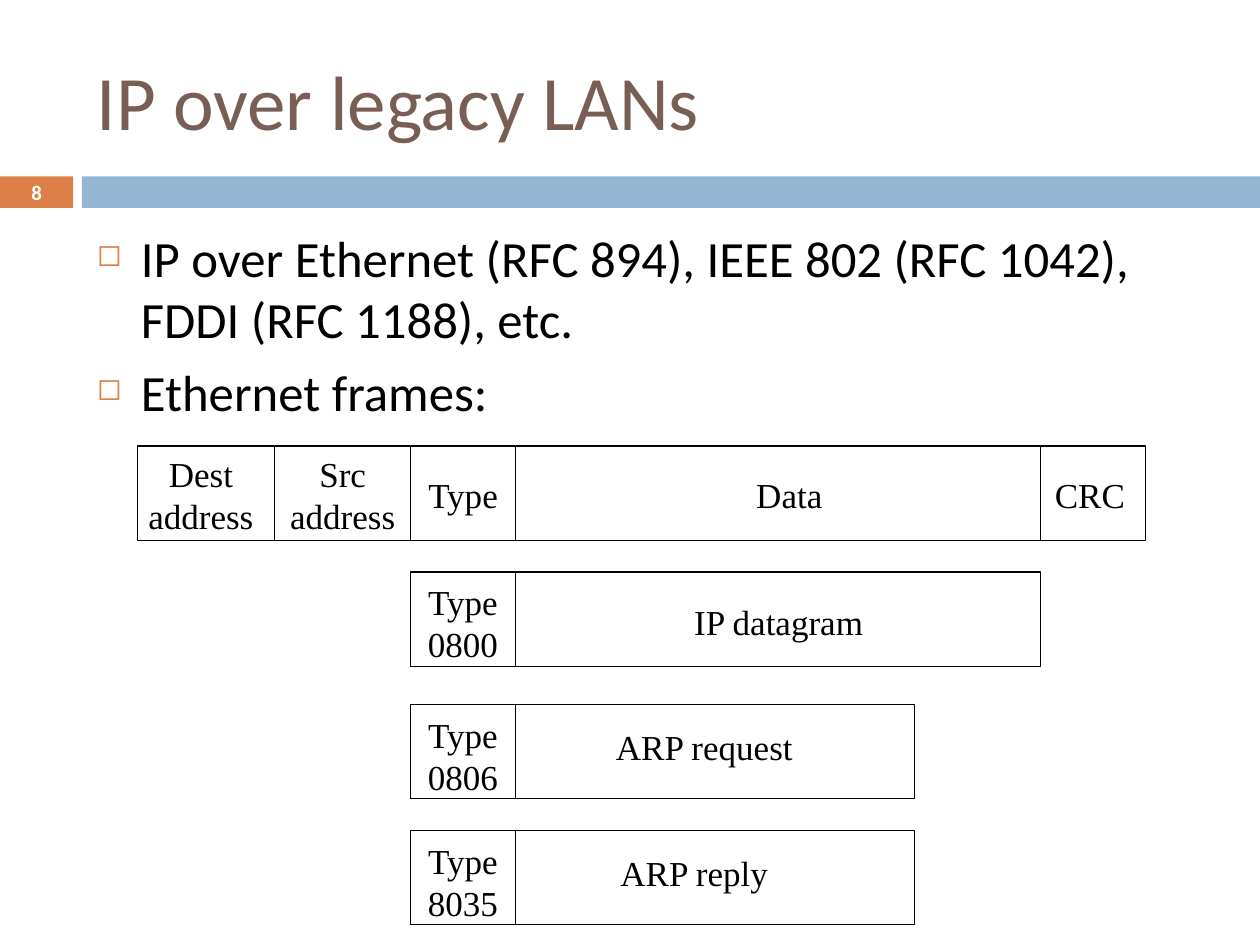
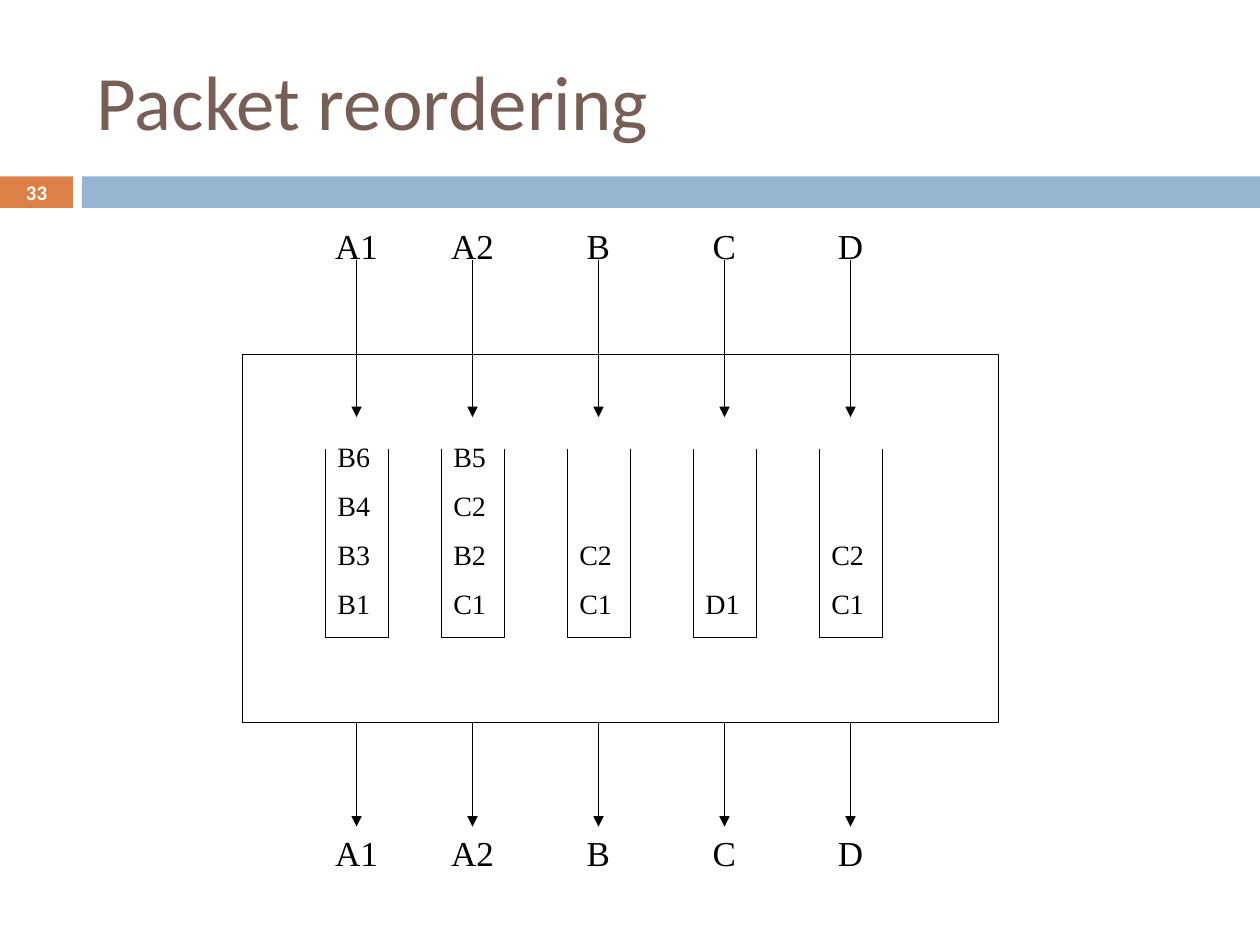
from pptx import Presentation
from pptx.dml.color import RGBColor
from pptx.enum.shapes import MSO_CONNECTOR, MSO_SHAPE
from pptx.enum.text import MSO_ANCHOR, PP_ALIGN
from pptx.oxml.ns import qn
from pptx.util import Inches, Pt
from lxml.etree import SubElement

ORANGE, BLUE, BROWN = "DD8047", "94B6D2", "775F55"
BLACK, WHITE = "000000", "FFFFFF"
SANS, SERIF = "Calibri", "Times New Roman"


def rgb(color):
    return RGBColor.from_string(color)


def add_rect(s, x, y, w, h, fill=None, line_width=None):
    sp = s.shapes.add_shape(MSO_SHAPE.RECTANGLE, Inches(x), Inches(y), Inches(w), Inches(h))
    sp.shadow.inherit = False
    if fill:
        sp.fill.solid()
        sp.fill.fore_color.rgb = rgb(fill)
    else:
        sp.fill.background()
    if line_width:
        sp.line.color.rgb = rgb(BLACK)
        sp.line.width = Pt(line_width)
    else:
        sp.line.fill.background()
    return sp


def add_line(s, x1, y1, x2, y2, width, arrow=False):
    line = s.shapes.add_connector(MSO_CONNECTOR.STRAIGHT, Inches(x1), Inches(y1),
                                  Inches(x2), Inches(y2))
    line.line.color.rgb = rgb(BLACK)
    line.line.width = Pt(width)
    if arrow:
        SubElement(line.line._get_or_add_ln(), qn("a:tailEnd"), type="triangle")
    SubElement(line._element.spPr, qn("a:effectLst"))
    return line


def add_text(s, x, y, w, h, lines, size, font=SERIF, color=BLACK, bold=False,
             align=PP_ALIGN.LEFT, anchor=MSO_ANCHOR.TOP, space_before=0):
    tf = s.shapes.add_textbox(Inches(x), Inches(y), Inches(w), Inches(h)).text_frame
    tf.word_wrap = True
    tf.vertical_anchor = anchor
    for i, text in enumerate(lines):
        p = tf.paragraphs[0] if i == 0 else tf.add_paragraph()
        p.alignment = align
        p.space_before = Pt(space_before)
        r = p.add_run()
        r.text = text
        r.font.size, r.font.name, r.font.bold = Pt(size), font, bold
        r.font.color.rgb = rgb(color)
    return tf


def add_bullet(p):
    pPr = p._p.get_or_add_pPr()
    pPr.set("marL", str(Inches(0.35)))
    pPr.set("indent", str(-Inches(0.35)))
    SubElement(SubElement(pPr, qn("a:buClr")), qn("a:srgbClr"), val=ORANGE)
    SubElement(pPr, qn("a:buSzPct"), val="60000")
    SubElement(pPr, qn("a:buChar"), char="◻")


def add_base_slide(prs, title, number):
    """Title, coloured band and slide number shared by all slides."""
    s = prs.slides.add_slide(prs.slide_layouts[6])
    add_rect(s, 0, 1.4, 0.58, 0.25, fill=ORANGE)
    add_rect(s, 0.65, 1.4, 9.35, 0.25, fill=BLUE)
    add_text(s, 0, 1.39, 0.58, 0.27, [number], 11.9, SANS, WHITE, bold=True,
             align=PP_ALIGN.CENTER, anchor=MSO_ANCHOR.MIDDLE)
    add_text(s, 0.67, 0.25, 8.92, 1.08, [title], 44, SANS, BROWN, anchor=MSO_ANCHOR.MIDDLE)
    return s


def add_frame(s, x, y, w, dividers, fields):
    """Frame of fields; dividers and (text, left, top, width, height) are relative to x, y."""
    h = 0.75
    add_rect(s, x, y, w, h, line_width=0.75)
    for dx in dividers:
        add_line(s, x + dx, y, x + dx, y + h, 0.75)
    for text, dx, dy, fw, fh in fields:
        add_text(s, x + dx, y + dy, fw, fh, [text], 20, align=PP_ALIGN.CENTER)


def add_queue(s, x, y, packets):
    """Open-topped queue with its packets resting at the bottom."""
    w, h = 0.5, 1.5
    for x1, y1, x2, y2 in [(0, 0, 0, h), (0, h, w, h), (w, 0, w, h)]:
        add_line(s, x + x1, y + y1, x + x2, y + y2, 0.25)
    add_text(s, x, y - 0.08, 0.58, 1.49, packets, 16,
             anchor=MSO_ANCHOR.BOTTOM, space_before=8.75)


def build_lan_slide(prs):
    s = add_base_slide(prs, "IP over legacy LANs", "8")
    tf = add_text(s, 0.67, 1.75, 8.92, 4.92,
                  ["IP over Ethernet (RFC 894), IEEE 802 (RFC 1042), FDDI (RFC 1188), etc.",
                   "Ethernet frames:"], 29, SANS, space_before=7)
    for p in tf.paragraphs:
        add_bullet(p)

    # General Ethernet frame
    one, two = 0.43, 0.77  # heights of one and two text lines
    add_frame(s, 1.09, 3.54, 8, [1.09, 2.17, 3, 7.17],
              [("Dest address", -0.08, 0, 1.17, two),
               ("Src address", 1.09, 0, 1.08, two),
               ("Type", 2, 0.17, 1.17, one),
               ("Data", 4.59, 0.17, 1.17, one),
               ("CRC", 7.16, 0.17, 0.8, one)])

    # Payload by type: top, width, type, payload, payload left and top
    for y, w, code, payload, dx, dy in [
            (4.54, 5, "0800", "IP datagram", 1.92, 0.18),
            (5.59, 4, "0806", "ARP request", 1.33, 0.12),
            (6.59, 4, "8035", "ARP reply", 1.25, 0.12)]:
        add_frame(s, 3.26, y, w, [0.83],
                  [("Type " + code, 0, 0.02, 0.83, two), (payload, dx, dy, 2, one)])


def build_reordering_slide(prs):
    s = add_base_slide(prs, "Packet reordering", "33")
    top, height = 2.81, 2.92
    bottom = top + height
    add_rect(s, 1.92, top, 6, height, line_width=0.25)

    # One flow per column: label and arrow in, queue, arrow and label out
    for x, name, packets in [
            (2.58, "A1", ["B6", "B4", "B3", "B1"]),
            (3.5, "A2", ["B5", "C2", "B2", "C1"]),
            (4.5, "B", ["C2", "C1"]),
            (5.5, "C", ["D1"]),
            (6.5, "D", ["C2", "C1"])]:
        mid = x + 0.25
        add_queue(s, x, top + 0.75, packets)
        add_line(s, mid, top - 0.75, mid, top + 0.5, 0.25, arrow=True)
        add_line(s, mid, bottom, mid, bottom + 0.83, 0.25, arrow=True)
        for y in (1.73, 6.55):
            add_text(s, mid - 0.4, y, 0.8, 0.43, [name], 20, align=PP_ALIGN.CENTER)


def main():
    prs = Presentation()
    prs.slide_width, prs.slide_height = Inches(10), Inches(7.5)
    build_lan_slide(prs)
    build_reordering_slide(prs)
    prs.save("out.pptx")


if __name__ == "__main__":
    main()
